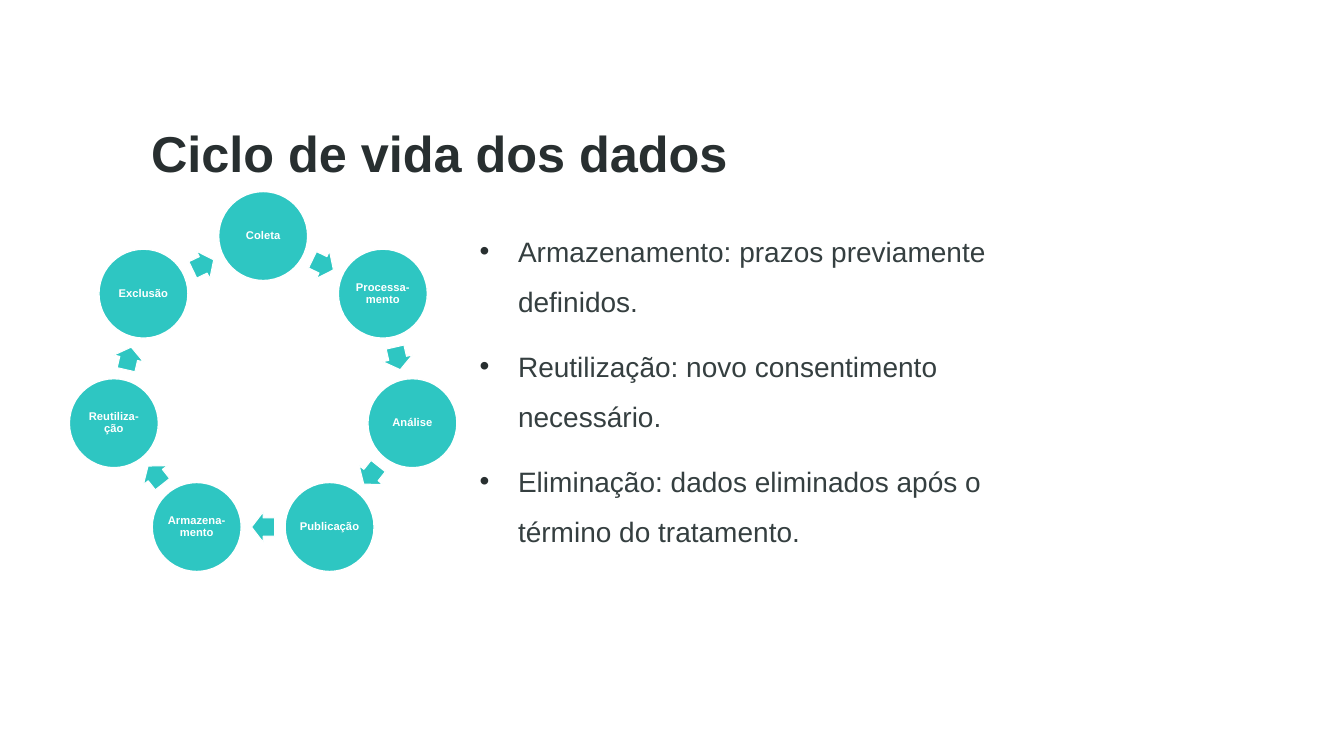
import math

from lxml import etree
from pptx import Presentation
from pptx.dml.color import RGBColor
from pptx.enum.shapes import MSO_SHAPE
from pptx.enum.text import MSO_ANCHOR, PP_ALIGN
from pptx.oxml.ns import qn
from pptx.util import Inches, Pt

CIRCLE, ARROW = MSO_SHAPE.OVAL, MSO_SHAPE.RIGHT_ARROW
MIDDLE, TOP = MSO_ANCHOR.MIDDLE, MSO_ANCHOR.TOP
CENTER = PP_ALIGN.CENTER

CELL = Inches(0.1)
TITLE_BOX = (14, 9.7, 66, 7.8)
CYCLE_BOX = (6.9, 19, 38.4, 37.7)
RULES_BOX = (46.6, 21.1, 55.4, 48.7)
BULLET_INDENT = Inches(0.38)

TEAL, WHITE, DARK, GRAY = "2EC6C2", "FFFFFF", "282F30", "353F40"
TITLE_FONT = {"name": "Arial", "size": Pt(36), "bold": True}
STAGE_FONT = {"name": "Arial", "size": Pt(8), "bold": True}
RULE_FONT = {"name": "Arial", "size": Pt(20), "bold": False}

TITLE = "Ciclo de vida dos dados"
STAGES = ["Coleta", "Processa-mento", "Análise", "Publicação",
          "Armazena-mento", "Reutiliza-ção", "Exclusão"]
RULES = ["Armazenamento: prazos previamente definidos.",
         "Reutilização: novo consentimento necessário.",
         "Eliminação: dados eliminados após o término do tratamento."]


def color(value):
    """Turn a hex string into a colour."""
    return RGBColor.from_string(value)


def place(box):
    """Turn grid cells into slide lengths."""
    return [round(cells * CELL) for cells in box]


def set_format(target, values):
    """Set every attribute named in the dict."""
    for name, value in values.items():
        setattr(target, name, value)


def style_paragraph(paragraph, font, hex_color, layout):
    """Apply font, colour and layout to a paragraph."""
    set_format(paragraph, layout)
    set_format(paragraph.font, font)
    paragraph.font.color.rgb = color(hex_color)


def add_text_box(slide, box, anchor):
    """Add a wrapping text box and return its text frame."""
    frame = slide.shapes.add_textbox(*place(box)).text_frame
    set_format(frame, {"word_wrap": True, "vertical_anchor": anchor})
    return frame


def add_title(slide, box):
    """Write the slide title in its box."""
    paragraph = add_text_box(slide, box, MIDDLE).paragraphs[0]
    paragraph.text = TITLE
    style_paragraph(paragraph, TITLE_FONT, DARK, {"line_spacing": 1.5})


def add_centered_shape(slide, kind, center, size, line_width):
    """Add a teal shape with a white outline around a centre point."""
    corner = [middle - length / 2 for middle, length in zip(center, size)]
    shape = slide.shapes.add_shape(kind, *place((*corner, *size)))
    shape.shadow.inherit = False
    shape.fill.solid()
    shape.fill.fore_color.rgb = color(TEAL)
    shape.line.color.rgb = color(WHITE)
    shape.line.width = Pt(line_width)
    return shape


def add_stage(slide, center, diameter, label):
    """Add one labelled circle of the cycle."""
    shape = add_centered_shape(slide, CIRCLE, center, (diameter, diameter), 1)
    frame = shape.text_frame
    margins = dict.fromkeys(
        ("margin_left", "margin_top", "margin_right", "margin_bottom"), Inches(0.01))
    set_format(frame, {**margins, "word_wrap": True, "vertical_anchor": MIDDLE})
    paragraph = frame.paragraphs[0]
    paragraph.text = label
    style_paragraph(paragraph, STAGE_FONT, WHITE,
                    {"alignment": CENTER, "line_spacing": 0.9})


def add_cycle(slide, box):
    """Place the stages evenly on a ring with an arrow between neighbours."""
    left, top, width, height = box
    diameter = width * 0.23
    step = 2 * math.pi / len(STAGES)
    radius = (height - diameter) / (1 + math.cos(step / 2))
    middle_x, middle_y = left + width / 2, top + diameter / 2 + radius

    def on_ring(angle, distance):
        """Find the point at a clockwise angle from the top."""
        return (middle_x + distance * math.sin(angle),
                middle_y - distance * math.cos(angle))

    for index, label in enumerate(STAGES):
        add_stage(slide, on_ring(index * step, radius), diameter, label)
        angle = (index + 0.5) * step
        center = on_ring(angle, radius * math.cos(step / 2))
        arrow = add_centered_shape(
            slide, ARROW, center, (diameter * 0.26, diameter * 0.34), 0.75)
        arrow.adjustments[0] = 0.6
        arrow.adjustments[1] = 0.5
        arrow.rotation = math.degrees(angle)


def add_bullet(paragraph):
    """Give a paragraph a hanging dark bullet."""
    properties = paragraph._p.get_or_add_pPr()
    properties.set("marL", str(BULLET_INDENT))
    properties.set("indent", str(-BULLET_INDENT))
    bullet_color = etree.SubElement(properties, qn("a:buClr"))
    etree.SubElement(bullet_color, qn("a:srgbClr"), val=DARK)
    etree.SubElement(properties, qn("a:buFont"), typeface="Arial")
    etree.SubElement(properties, qn("a:buChar"), char="•")


def add_rules(slide, box):
    """Write the bulleted rules in their box."""
    frame = add_text_box(slide, box, TOP)
    for index, rule in enumerate(RULES):
        paragraph = frame.add_paragraph() if index else frame.paragraphs[0]
        paragraph.text = rule
        add_bullet(paragraph)
        style_paragraph(paragraph, RULE_FONT, GRAY,
                        {"line_spacing": 1.5, "space_before": Pt(10 if index else 0)})


def main():
    """Build the slide and save it."""
    presentation = Presentation()
    set_format(presentation, {"slide_width": Inches(13.33), "slide_height": Inches(7.5)})
    slide = presentation.slides.add_slide(presentation.slide_layouts[6])
    add_title(slide, TITLE_BOX)
    add_cycle(slide, CYCLE_BOX)
    add_rules(slide, RULES_BOX)
    presentation.save("out.pptx")


if __name__ == "__main__":
    main()
